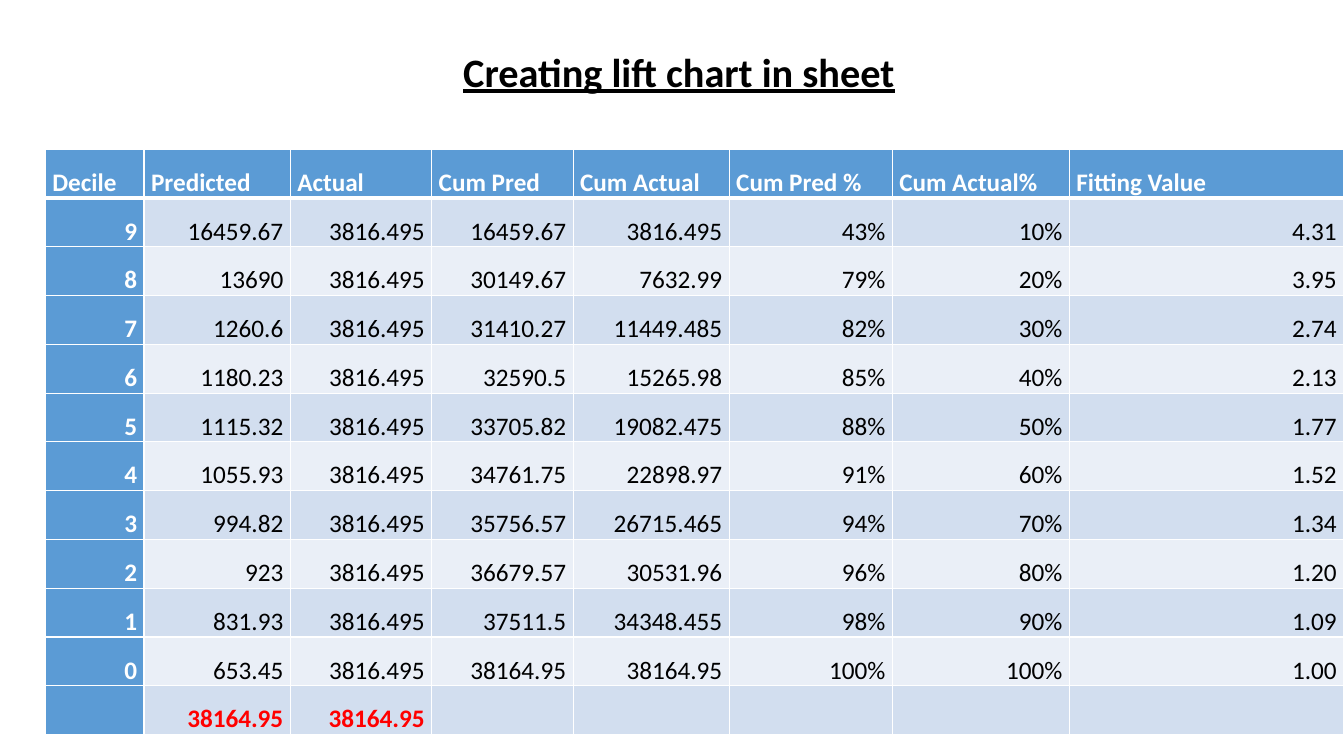
import pptx
import pptx.util
import pptx.dml.color
import pptx.enum.text
import pptx.oxml.ns
import lxml.etree

Pt = pptx.util.Pt
Align = pptx.enum.text.PP_ALIGN
Anchor = pptx.enum.text.MSO_ANCHOR

# Content
title = "Creating lift chart in sheet"
headings = ["Decile", "Predicted", "Actual", "Cum Pred", "Cum Actual",
            "Cum Pred %", "Cum Actual%", "Fitting Value"]
deciles = [
    ("9", "16459.67", "3816.495", "16459.67", "3816.495", "43%", "10%", "4.31"),
    ("8", "13690", "3816.495", "30149.67", "7632.99", "79%", "20%", "3.95"),
    ("7", "1260.6", "3816.495", "31410.27", "11449.485", "82%", "30%", "2.74"),
    ("6", "1180.23", "3816.495", "32590.5", "15265.98", "85%", "40%", "2.13"),
    ("5", "1115.32", "3816.495", "33705.82", "19082.475", "88%", "50%", "1.77"),
    ("4", "1055.93", "3816.495", "34761.75", "22898.97", "91%", "60%", "1.52"),
    ("3", "994.82", "3816.495", "35756.57", "26715.465", "94%", "70%", "1.34"),
    ("2", "923", "3816.495", "36679.57", "30531.96", "96%", "80%", "1.20"),
    ("1", "831.93", "3816.495", "37511.5", "34348.455", "98%", "90%", "1.09"),
    ("0", "653.45", "3816.495", "38164.95", "38164.95", "100%", "100%", "1.00"),
]
totals = ["", "38164.95", "38164.95", "", "", "", "", ""]
lift_rows = [headings, *deciles, totals]

# Theme and layout, in points
theme = {
    "font": "Calibri", "title_size": 28.8, "cell_size": 18,
    "text": "000000", "on_accent": "FFFFFF", "total": "FF0000",
    "accent": "5B9BD5", "bands": ("D2DEEF", "EAEFF7"),
    "rule": "FFFFFF", "thin": 1, "thick": 3,
}
column_widths = [70.5, 104.5, 101, 101, 111.5, 116.5, 126.5, 196]
row_height = 34.85
table_left, table_top = 32.4, 106.6
cell_inset = 5


def style_paragraph(paragraph, size, color, bold, align, spacing):
    paragraph.alignment = align
    paragraph.line_spacing = spacing
    font = paragraph.font
    font.name, font.size, font.bold = theme["font"], Pt(size), bold
    font.color.rgb = pptx.dml.color.RGBColor.from_string(color)


def set_border(cell, side, width):
    qn = pptx.oxml.ns.qn
    properties = cell._tc.get_or_add_tcPr()
    line = lxml.etree.SubElement(properties, qn("a:ln" + side), w=str(Pt(width)))
    fill = lxml.etree.SubElement(line, qn("a:solidFill"))
    lxml.etree.SubElement(fill, qn("a:srgbClr"), val=theme["rule"])


deck = pptx.Presentation()
deck.slide_width, deck.slide_height = Pt(960), Pt(540)
slide = deck.slides.add_slide(deck.slide_layouts[6])

# Title
title_frame = slide.shapes.add_textbox(Pt(10), Pt(0), Pt(950), Pt(72)).text_frame
title_frame.word_wrap = True
title_frame.vertical_anchor = Anchor.BOTTOM
title_frame.text = title
heading = title_frame.paragraphs[0]
style_paragraph(heading, theme["title_size"], theme["text"], True, Align.CENTER, 0.9)
heading.font.underline = True

# Lift table
lift_table = slide.shapes.add_table(
    len(lift_rows), len(headings), Pt(table_left), Pt(table_top),
    Pt(sum(column_widths)), Pt(row_height * len(lift_rows))).table
lift_table.first_row = lift_table.horz_banding = False
for column, width in zip(lift_table.columns, column_widths):
    column.width = Pt(width)

last_row = len(lift_rows) - 1
for r, values in enumerate(lift_rows):
    lift_table.rows[r].height = Pt(row_height)
    for c, value in enumerate(values):
        cell = lift_table.cell(r, c)
        on_accent = r == 0 or c == 0

        # The rule between headings and deciles is thick
        for side in "LRTB":
            under_headings = (r, side) in ((0, "B"), (1, "T"))
            set_border(cell, side, theme["thick" if under_headings else "thin"])
        background = theme["accent"] if on_accent else theme["bands"][(r - 1) % 2]
        cell.fill.solid()
        cell.fill.fore_color.rgb = pptx.dml.color.RGBColor.from_string(background)

        cell.margin_left = cell.margin_right = Pt(cell_inset)
        cell.margin_top = cell.margin_bottom = Pt(0)
        cell.vertical_anchor = Anchor.BOTTOM
        if on_accent:
            color = theme["on_accent"]
        else:
            color = theme["total" if r == last_row else "text"]
        cell.text = value
        style_paragraph(cell.text_frame.paragraphs[0], theme["cell_size"], color,
                        on_accent or r == last_row,
                        Align.LEFT if r == 0 else Align.RIGHT, 1.07)

deck.save("out.pptx")
